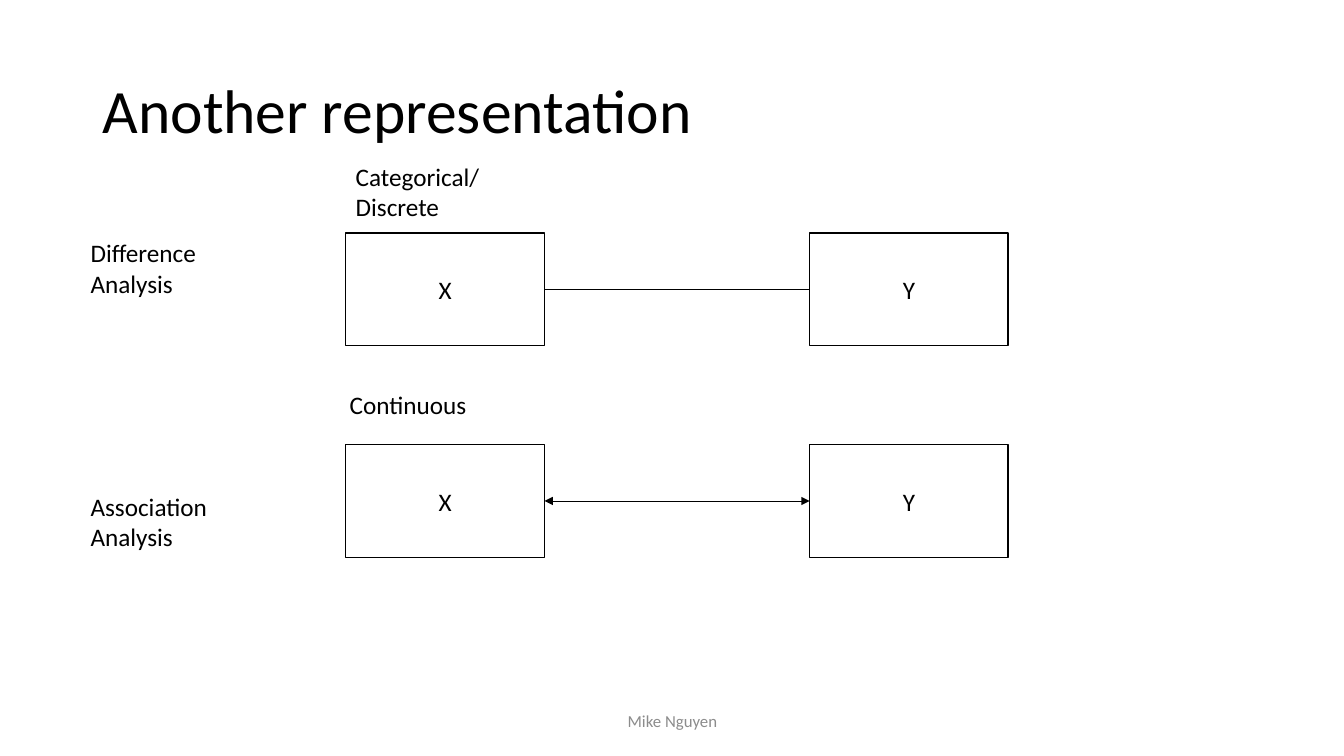
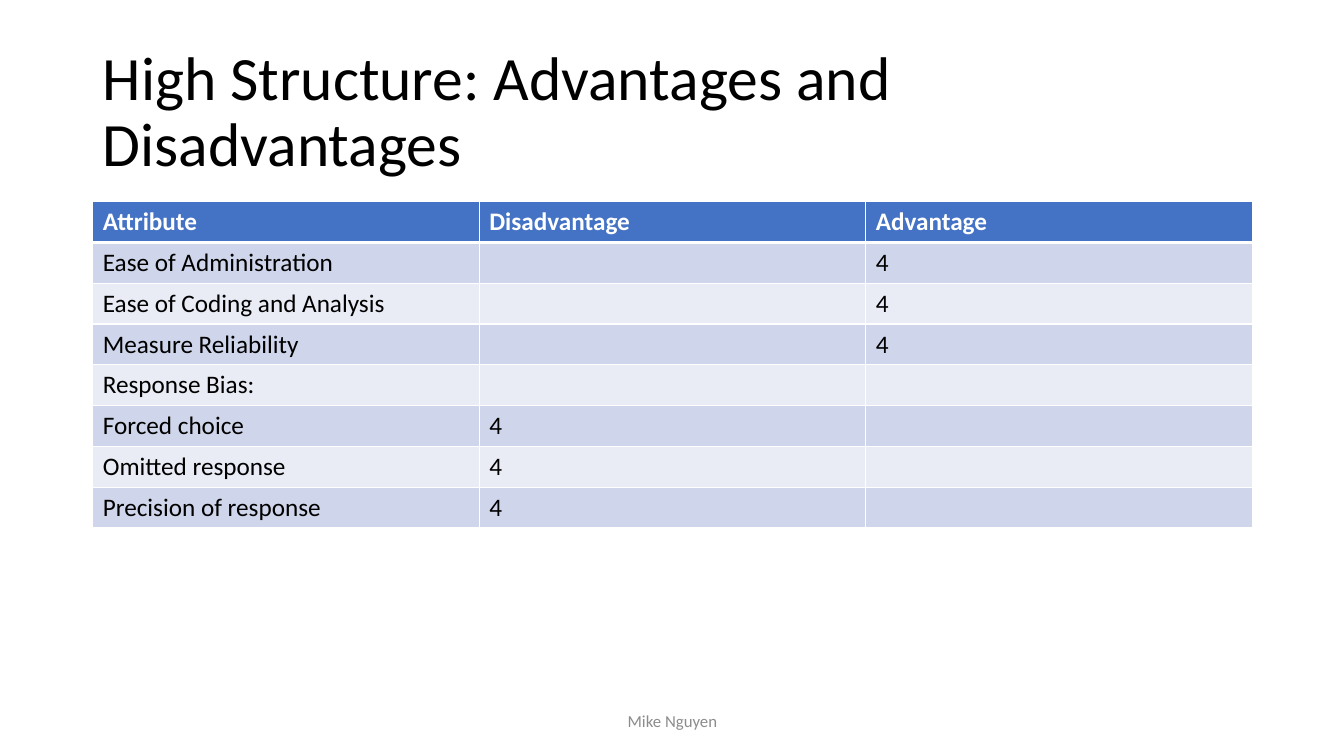
from dataclasses import dataclass

from lxml import etree
from pptx import Presentation
from pptx.dml.color import RGBColor
from pptx.enum.shapes import MSO_CONNECTOR, MSO_SHAPE
from pptx.enum.text import MSO_ANCHOR, MSO_AUTO_SIZE, PP_ALIGN
from pptx.oxml.ns import qn
from pptx.shapes.autoshape import Shape
from pptx.slide import Slide
from pptx.table import _Cell
from pptx.text.text import TextFrame
from pptx.util import Inches, Pt

# Shared style
BLACK = RGBColor(0x00, 0x00, 0x00)
WHITE = RGBColor(0xFF, 0xFF, 0xFF)
GRAY = RGBColor(0x8C, 0x8C, 0x8C)
HEADER_BLUE = RGBColor(0x44, 0x72, 0xC4)
BAND_DARK = RGBColor(0xCF, 0xD5, 0xEA)
BAND_LIGHT = RGBColor(0xE9, 0xEB, 0xF5)

LEFT, CENTER = PP_ALIGN.LEFT, PP_ALIGN.CENTER
TOP, MIDDLE = MSO_ANCHOR.TOP, MSO_ANCHOR.MIDDLE
FIT_SHAPE = MSO_AUTO_SIZE.SHAPE_TO_FIT_TEXT
RECTANGLE, STRAIGHT = MSO_SHAPE.RECTANGLE, MSO_CONNECTOR.STRAIGHT
LEFT_SIDE, RIGHT_SIDE = 1, 3

MARGIN, CONTENT_WIDTH = 0.92, 11.5
FOOTER = "Mike Nguyen"

TITLE_FONT = {"name": "Calibri", "size": Pt(44), "color": BLACK}
BODY_FONT = {"name": "Calibri", "size": Pt(18), "color": BLACK}
HEADER_FONT = {**BODY_FONT, "color": WHITE, "bold": True}
FOOTER_FONT = {"name": "Calibri", "size": Pt(12), "color": GRAY}

# Diagram geometry
BOX_WIDTH, BOX_HEIGHT = 1.97, 1.12
X_LEFT, Y_LEFT = 3.43, 8.03
LABEL_WIDTH = 2.1


@dataclass(frozen=True)
class Label:
    text: str
    left: float
    top: float
    height: float


@dataclass(frozen=True)
class Relation:
    top: float
    arrowheads: bool
    analysis: Label
    scale: Label


RELATIONS = (
    Relation(2.31, False,
             Label("Difference\nAnalysis", 0.8, 2.31, 0.71),
             Label("Categorical/\nDiscrete", 3.43, 1.55, 0.71)),
    Relation(4.41, True,
             Label("Association\nAnalysis", 0.8, 4.82, 0.71),
             Label("Continuous", 3.37, 3.81, 0.4)),
)

TABLE_ROWS = (
    ("Attribute", "Disadvantage", "Advantage"),
    ("Ease of Administration", "", "4"),
    ("Ease of Coding and Analysis", "", "4"),
    ("Measure Reliability", "", "4"),
    ("Response Bias:", "", ""),
    ("Forced choice", "4", ""),
    ("Omitted response", "4", ""),
    ("Precision of response", "4", ""),
)
TABLE_TOP, TABLE_HEIGHT = 2, 3.24


def write_text(frame: TextFrame, text: str, font: dict,
               alignment: PP_ALIGN = LEFT) -> None:
    frame.text = text
    for paragraph in frame.paragraphs:
        paragraph.alignment = alignment
        for name, value in font.items():
            if name == "color":
                paragraph.font.color.rgb = value
            else:
                setattr(paragraph.font, name, value)


def add_text(slide: Slide, label: Label, width: float, font: dict,
             alignment: PP_ALIGN = LEFT, **frame_format) -> Shape:
    box = slide.shapes.add_textbox(Inches(label.left), Inches(label.top),
                                   Inches(width), Inches(label.height))
    frame_values = {"word_wrap": True, "vertical_anchor": TOP, **frame_format}
    for name, value in frame_values.items():
        setattr(box.text_frame, name, value)
    write_text(box.text_frame, label.text, font, alignment)
    return box


def add_slide(presentation: Presentation, title: str) -> Slide:
    """Add a blank slide with the shared title and footer."""
    slide = presentation.slides.add_slide(presentation.slide_layouts[6])
    title_box = add_text(slide, Label(title, MARGIN, 0.4, 1.45), CONTENT_WIDTH,
                         TITLE_FONT, vertical_anchor=MIDDLE)
    title_box.text_frame.paragraphs[0].line_spacing = 0.9
    add_text(slide, Label(FOOTER, 4.42, 6.95, 0.4), 4.5,
             FOOTER_FONT, CENTER, vertical_anchor=MIDDLE)
    return slide


def add_variable(slide: Slide, name: str, left: float, top: float) -> Shape:
    box = slide.shapes.add_shape(RECTANGLE, Inches(left), Inches(top),
                                 Inches(BOX_WIDTH), Inches(BOX_HEIGHT))
    box.shadow.inherit = False
    box.fill.solid()
    box.fill.fore_color.rgb = WHITE
    box.line.color.rgb = BLACK
    box.line.width = Pt(1)
    box.text_frame.vertical_anchor = MIDDLE
    write_text(box.text_frame, name, BODY_FONT, CENTER)
    return box


def join_variables(slide: Slide, start: Shape, end: Shape,
                   arrowheads: bool) -> None:
    connector = slide.shapes.add_connector(STRAIGHT, 0, 0, 0, 0)
    connector.begin_connect(start, RIGHT_SIDE)
    connector.end_connect(end, LEFT_SIDE)
    connector.line.color.rgb = BLACK
    connector.line.width = Pt(0.5)
    properties = connector.element.spPr
    if arrowheads:
        line = properties.find(qn("a:ln"))
        for tag in ("a:headEnd", "a:tailEnd"):
            etree.SubElement(line, qn(tag), type="triangle")
    etree.SubElement(properties, qn("a:effectLst"))


def set_borders(cell: _Cell, widths: dict[str, float]) -> None:
    properties = cell._tc.get_or_add_tcPr()
    for side, width in widths.items():
        border = etree.SubElement(properties, qn(f"a:ln{side}"), w=str(Pt(width)))
        fill = etree.SubElement(border, qn("a:solidFill"))
        etree.SubElement(fill, qn("a:srgbClr"), val=str(WHITE))


def add_relations(slide: Slide) -> None:
    for relation in RELATIONS:
        x_box = add_variable(slide, "X", X_LEFT, relation.top)
        y_box = add_variable(slide, "Y", Y_LEFT, relation.top)
        join_variables(slide, x_box, y_box, relation.arrowheads)
        for label in (relation.analysis, relation.scale):
            add_text(slide, label, LABEL_WIDTH, BODY_FONT, auto_size=FIT_SHAPE)


def add_attribute_table(slide: Slide) -> None:
    row_count, column_count = len(TABLE_ROWS), len(TABLE_ROWS[0])
    table = slide.shapes.add_table(
        row_count, column_count, Inches(MARGIN), Inches(TABLE_TOP),
        Inches(CONTENT_WIDTH), Inches(TABLE_HEIGHT)).table
    for row_index, row in enumerate(TABLE_ROWS):
        is_header = row_index == 0
        band = BAND_DARK if row_index % 2 else BAND_LIGHT
        widths = {"L": 1, "R": 1, "T": 3 if row_index == 1 else 1,
                  "B": 3 if is_header else 1}
        for column_index, text in enumerate(row):
            cell = table.cell(row_index, column_index)
            set_borders(cell, widths)
            cell.fill.solid()
            cell.fill.fore_color.rgb = HEADER_BLUE if is_header else band
            write_text(cell.text_frame, text,
                       HEADER_FONT if is_header else BODY_FONT)


def main() -> None:
    presentation = Presentation()
    presentation.slide_width = Inches(13.33)
    presentation.slide_height = Inches(7.5)

    # Relations between X and Y
    add_relations(add_slide(presentation, "Another representation"))

    # Advantages and disadvantages
    add_attribute_table(add_slide(
        presentation, "High Structure: Advantages and Disadvantages"))

    presentation.save("out.pptx")


if __name__ == "__main__":
    main()
